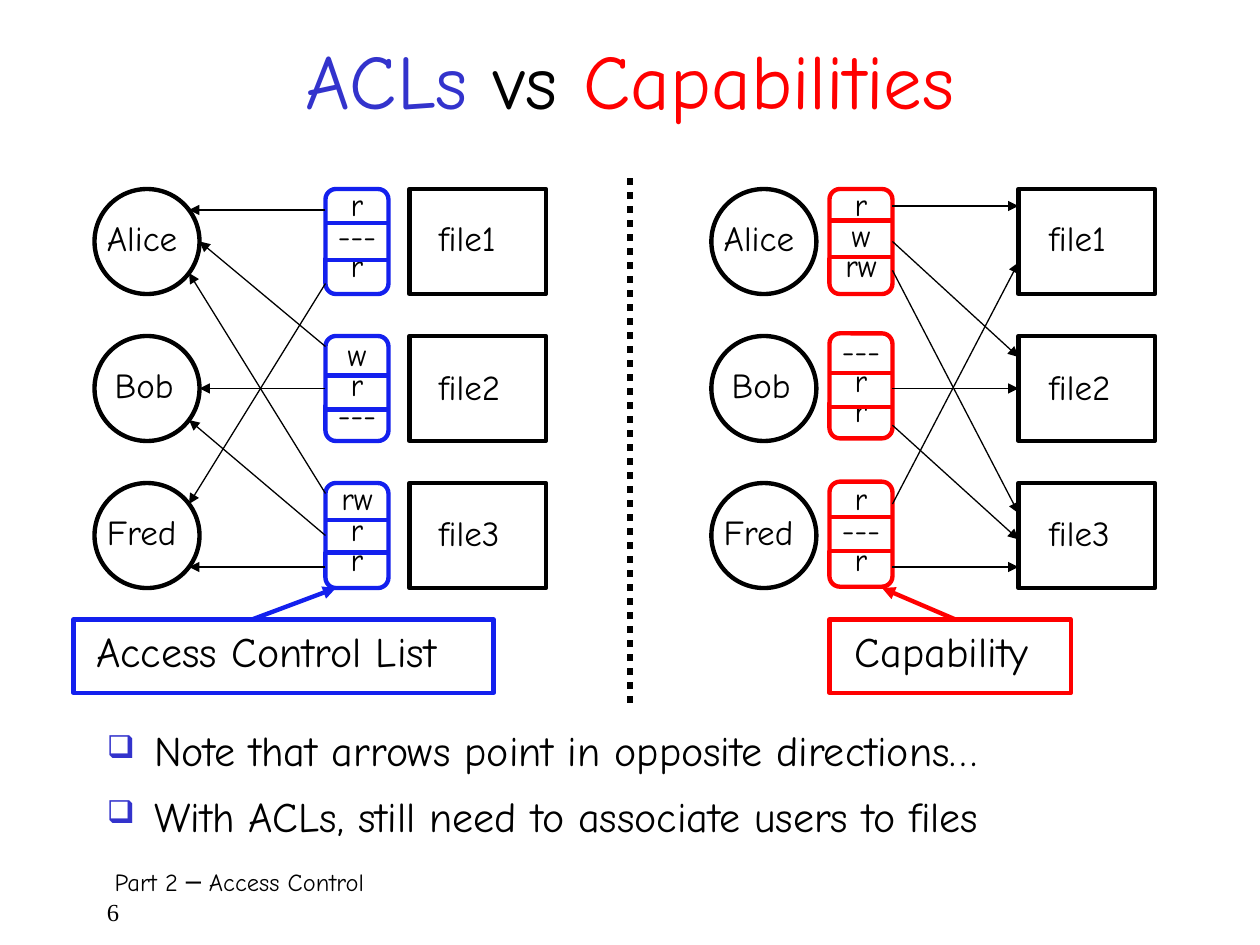
import dataclasses
import typing

import lxml.etree
import pptx
import pptx.dml.color
import pptx.enum.dml
import pptx.enum.shapes
import pptx.enum.text
import pptx.oxml.ns
import pptx.util

RGB = pptx.dml.color.RGBColor
BLACK = RGB(0, 0, 0)
INDIGO = RGB(0x33, 0x33, 0xCC)
BLUE = RGB(0x13, 0x20, 0xEE)
RED = RGB(0xFF, 0, 0)

KIND = pptx.enum.shapes.MSO_SHAPE
CENTER = pptx.enum.text.PP_ALIGN.CENTER
FACE = "Comic Neue"
SCALE = 9525  # EMU in one px, 96 px to the inch
THICK, THIN = 2.5, 0.75
TOP, PITCH, SIZE = 144, 112, 80  # rows of users, lists and files
FILE_W, LIST_W = 104, 48


@dataclasses.dataclass
class Entry:
    """One user's or file's list of rights."""
    top: int
    shift: int  # from the frame's top to the text's top
    rights: list[str]
    cuts: tuple[int, int]


@dataclasses.dataclass
class Side:
    color: RGB
    user_x: int
    list_x: int
    file_x: int
    label_x: int
    entries: list[Entry]
    arrows: list[tuple[int, int, int, int]]
    note: str
    note_box: tuple[int, int, int, int]
    note_x: int
    note_w: int
    pointer: tuple[int, int, int, int]


USERS = [("Alice", 0, 82), ("Bob", 6, 66), ("Fred", 0, 79)]  # name, inset, width
FILES = [("file1", 16, 74), ("file2", 18, 79), ("file3", 17, 79)]  # name, drop, width

ACL = Side(
    BLUE, 72, 248, 312, 325,
    [Entry(144, -2, ["r", "---", "r"], (170, 198)),
     Entry(256, 0, ["w", "r", "---"], (286, 312)),
     Entry(368, -2, ["rw", "r", "r"], (396, 421))],
    [(248, 160, 144, 160), (248, 264, 152, 184), (248, 376, 144, 208),
     (248, 296, 152, 296), (248, 408, 144, 320), (248, 432, 144, 432),
     (248, 216, 144, 384)],
    "Access Control List", (56, 472, 320, 56), 64, 310, (192, 472, 256, 448))

CAPS = Side(
    RED, 542, 632, 776, 790,
    [Entry(144, -2, ["r", "w", "rw"], (168, 196)),
     Entry(254, -1, ["---", "r", "r"], (284, 310)),
     Entry(367, -1, ["r", "---", "r"], (394, 420))],
    [(680, 157, 776, 157), (680, 184, 776, 272), (680, 206, 776, 391),
     (680, 296, 776, 296), (680, 432, 776, 432), (680, 384, 776, 200),
     (680, 324, 776, 411)],
    "Capability", (632, 472, 184, 56), 642, 166, (728, 472, 672, 448))


def px(*nums: int) -> list[pptx.util.Emu]:
    return [pptx.util.Emu(n * SCALE) for n in nums]


def style(para: typing.Any, size: int, face: str = FACE, color: RGB = BLACK) -> None:
    para.font.size = pptx.util.Pt(size)
    para.font.name = face
    para.font.color.rgb = color


def add_text(slide: typing.Any, box: tuple[int, int, int, int], lines: list[str],
             size: int, wrap: bool = False) -> typing.Any:
    frame = slide.shapes.add_textbox(*px(*box)).text_frame
    frame.word_wrap = wrap
    if not wrap:
        frame.auto_size = pptx.enum.text.MSO_AUTO_SIZE.SHAPE_TO_FIT_TEXT
    frame.text = "\n".join(lines)
    for para in frame.paragraphs:
        style(para, size)
    return frame


def add_box(slide: typing.Any, kind: KIND, box: tuple[int, int, int, int],
            color: RGB = BLACK) -> typing.Any:
    shape = slide.shapes.add_shape(kind, *px(*box))
    shape.shadow.inherit = False
    shape.fill.background()
    shape.line.color.rgb = color
    shape.line.width = pptx.util.Pt(THICK)
    return shape


def add_line(slide: typing.Any, ends: tuple[int, int, int, int], color: RGB,
             width: float, arrow: bool = False) -> typing.Any:
    line = slide.shapes.add_connector(
        pptx.enum.shapes.MSO_CONNECTOR.STRAIGHT, *px(*ends))
    line.line.color.rgb = color
    line.line.width = pptx.util.Pt(width)
    props = line._element.spPr
    qn = pptx.oxml.ns.qn
    if arrow:
        lxml.etree.SubElement(props.find(qn("a:ln")), qn("a:tailEnd"), type="triangle")
    lxml.etree.SubElement(props, qn("a:effectLst"))
    return line


def join(line: typing.Any, boxes: list[typing.Any]) -> None:
    """Attach each end that meets the middle of a box's side."""
    start, stop = (line.begin_x, line.begin_y), (line.end_x, line.end_y)
    for box in boxes:
        mid_x, mid_y = box.left + box.width // 2, box.top + box.height // 2
        sides = [(mid_x, box.top), (box.left, mid_y),
                 (mid_x, box.top + box.height), (box.left + box.width, mid_y)]
        if start in sides:
            line.begin_connect(box, sides.index(start))
        if stop in sides:
            line.end_connect(box, sides.index(stop))


def add_bullet(para: typing.Any) -> None:
    props = para._p.get_or_add_pPr()
    props.set("marL", str(36 * SCALE))
    props.set("indent", str(-36 * SCALE))
    qn = pptx.oxml.ns.qn
    tint = lxml.etree.Element(qn("a:buClr"))
    lxml.etree.SubElement(tint, qn("a:srgbClr"), val=str(INDIGO))
    size = lxml.etree.Element(qn("a:buSzPct"), val="75000")
    mark = lxml.etree.Element(qn("a:buChar"), char="❑")
    font = props.find(qn("a:defRPr"))
    for part in (tint, size, mark):
        font.addprevious(part)


def draw_side(slide: typing.Any, side: Side) -> None:
    boxes = []
    # Users and files
    for row, ((user, inset, user_w), (file, drop, file_w)) in enumerate(zip(USERS, FILES)):
        y = TOP + row * PITCH
        add_box(slide, KIND.OVAL, (side.user_x, y, SIZE, SIZE))
        add_text(slide, (side.user_x + inset, y + 16, user_w, 47), [user], 20)
        boxes.append(add_box(slide, KIND.RECTANGLE, (side.file_x, y, FILE_W, SIZE)))
        add_text(slide, (side.label_x, y + drop, file_w, 47), [file], 20)
    # Lists of rights
    for entry in side.entries:
        boxes.append(add_box(slide, KIND.ROUNDED_RECTANGLE,
                             (side.list_x, entry.top, LIST_W, SIZE), side.color))
        frame = add_text(slide, (side.list_x, entry.top + entry.shift, LIST_W, 90),
                         entry.rights, 18)
        for para in frame.paragraphs:
            para.alignment = CENTER
            para.line_spacing = 0.8
        for y in entry.cuts:
            add_line(slide, (side.list_x, y, side.list_x + LIST_W, y), side.color, THICK)
    # Arrows
    for ends in side.arrows:
        join(add_line(slide, ends, BLACK, THIN, True), boxes)
    # Note
    add_box(slide, KIND.RECTANGLE, side.note_box, side.color)
    add_text(slide, (side.note_x, 472, side.note_w, 55), [side.note], 24)
    add_line(slide, side.pointer, side.color, THICK, True)


def main() -> None:
    deck = pptx.Presentation()
    deck.slide_width, deck.slide_height = px(960, 720)
    slide = deck.slides.add_slide(deck.slide_layouts[6])

    # Title
    frame = add_text(slide, (72, 16, 816, 88), [""], 44, True)
    frame.vertical_anchor = pptx.enum.text.MSO_ANCHOR.MIDDLE
    title = frame.paragraphs[0]
    title.alignment = CENTER
    for word, color in [("ACLs ", INDIGO), ("vs ", BLACK), ("Capabilities", RED)]:
        run = title.add_run()
        run.text = word
        run.font.color.rgb = color

    # Both halves and the divider
    for side in (ACL, CAPS):
        draw_side(slide, side)
    rule = add_line(slide, (480, 136, 480, 536), BLACK, 4)
    rule.line.dash_style = pptx.enum.dml.MSO_LINE.ROUND_DOT

    # Remarks
    frame = add_text(slide, (72, 552, 816, 104), [
        "Note that arrows point in opposite directions…",
        "With ACLs, still need to associate users to files"], 24, True)
    for para in frame.paragraphs:
        para.line_spacing = 0.9
        para.space_before = pptx.util.Pt(5.5)
        para.space_after = pptx.util.Pt(6)
        add_bullet(para)

    # Footer
    frame = add_text(slide, (72, 656, 824, 48), ["Part 2 ─ Access Control", "6"], 14, True)
    frame.paragraphs[0]._p.get_or_add_pPr().set("marL", str(6 * SCALE))
    style(frame.paragraphs[1], 14, "Times New Roman")

    deck.save("out.pptx")


if __name__ == "__main__":
    main()
